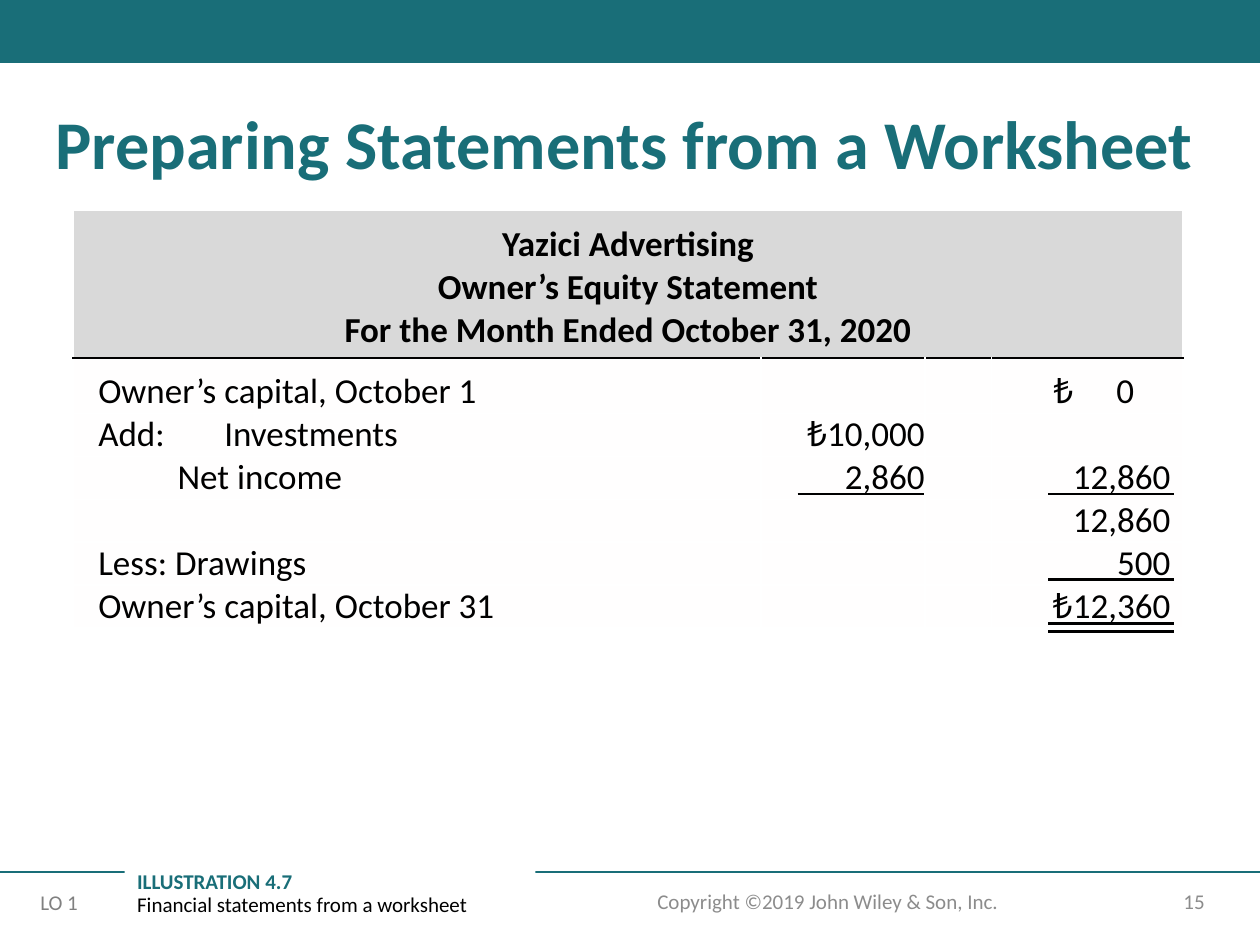
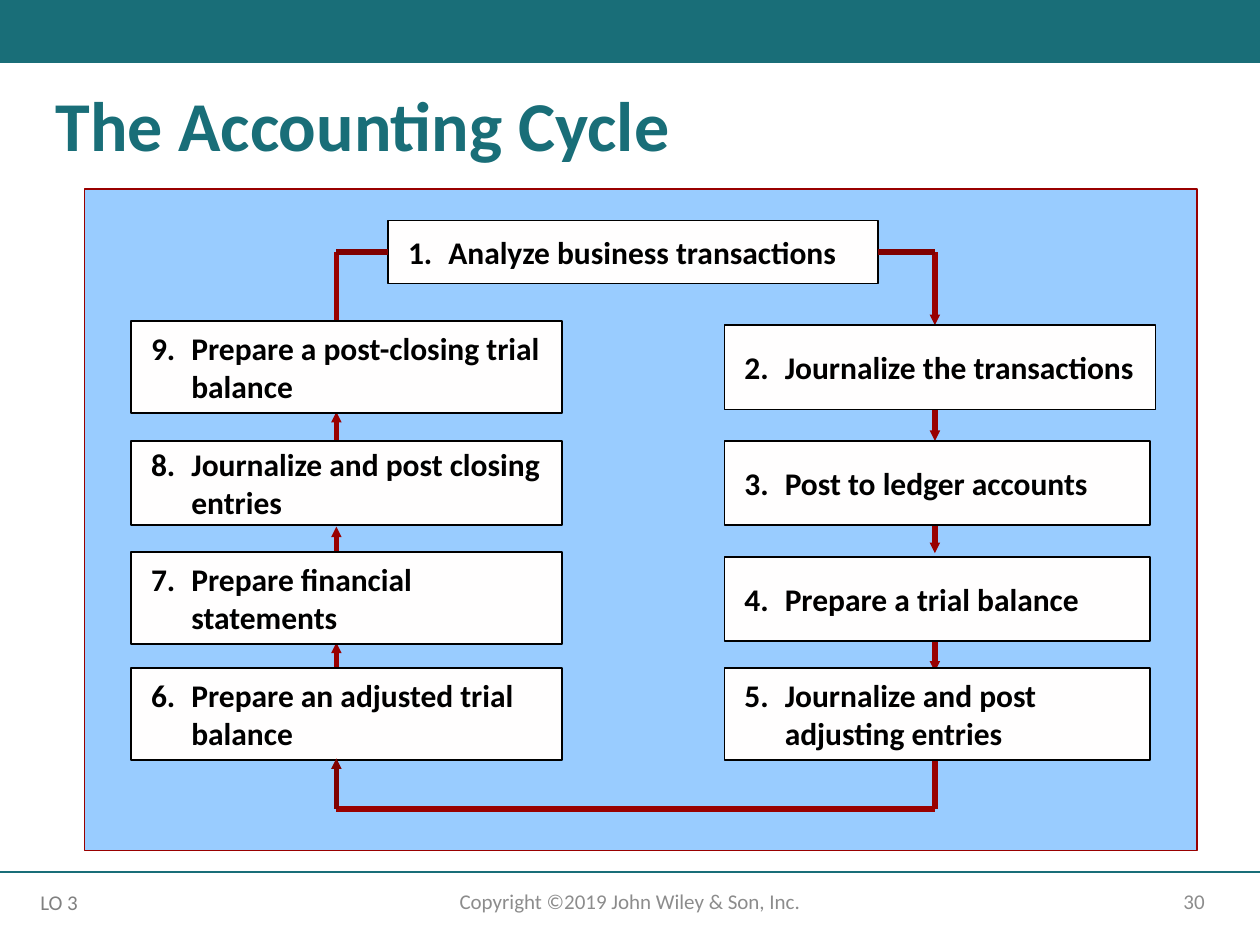
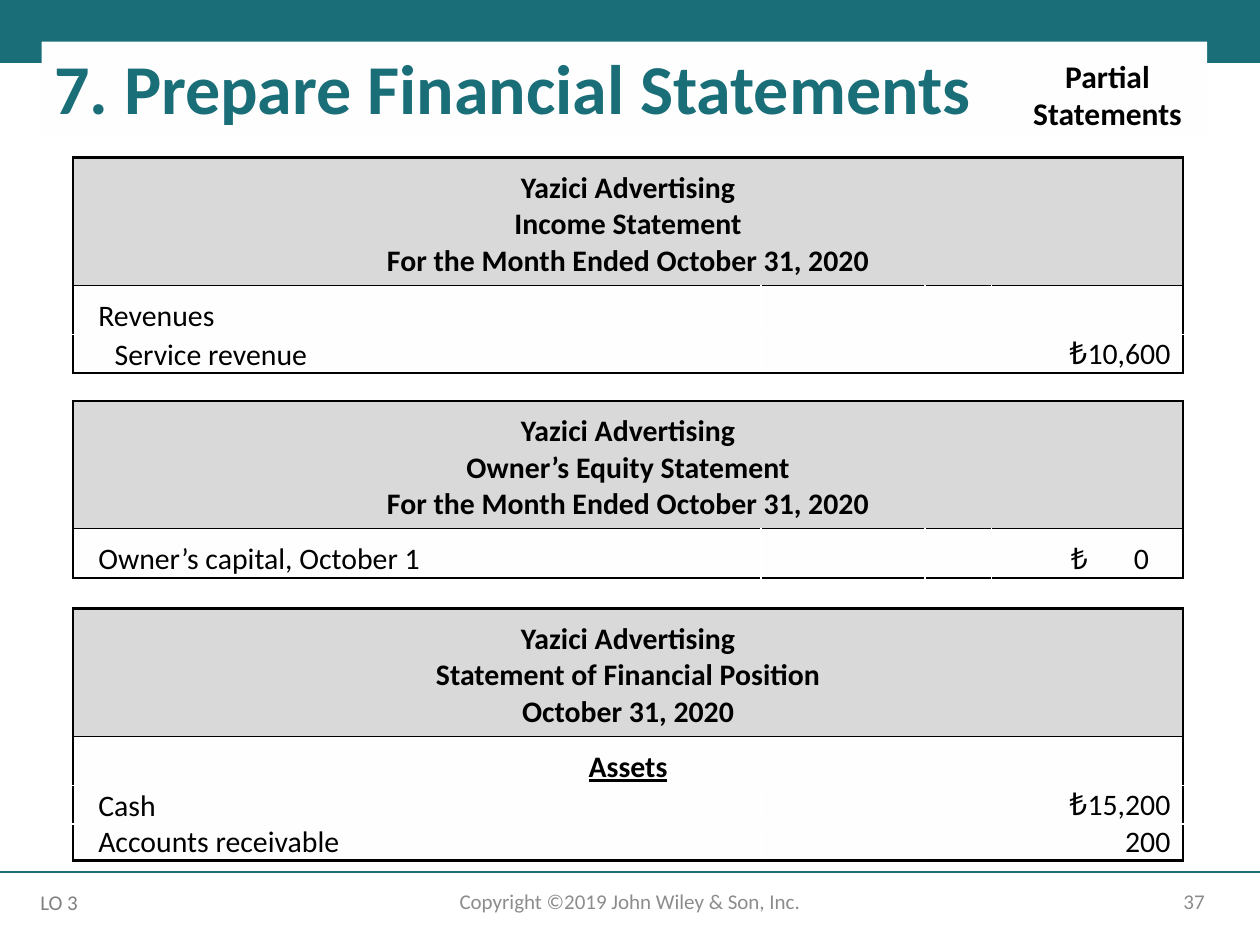
import pptx
import pptx.dml.color
import pptx.enum.shapes
import pptx.enum.text
import pptx.oxml.ns
import pptx.table
import pptx.util
from lxml import etree

Inches, Pt = pptx.util.Inches, pptx.util.Pt
ALIGN = pptx.enum.text.PP_ALIGN
ANCHOR = pptx.enum.text.MSO_ANCHOR
RECTANGLE = pptx.enum.shapes.MSO_SHAPE.RECTANGLE
STRAIGHT = pptx.enum.shapes.MSO_CONNECTOR.STRAIGHT

FONT = "Calibri"
TEAL, BLACK, WHITE, PAPER = "196E78", "000000", "FFFFFF", "FFFEFE"
HEADING_GREY, FOOTER_GREY, OBJECTIVE_GREY = "D9D9D9", "8C8C8C", "808080"
SKY, RED, MAROON = "99CCFF", "990000", "800000"

COPYRIGHT = "Copyright ©2019 John Wiley & Son, Inc."
COMPANY = "Yazici Advertising"
MONTH = "For the Month Ended October 31, 2020"

# Each row: label, inner amount, outer amount, label indent
EQUITY = dict(
    top=1.67, size=20, lira_size=20, zero_left=0.49, frame=(WHITE, 1),
    heading=[COMPANY, "Owner’s Equity Statement", MONTH],
    rows=[("Owner’s capital, October 1", "", "₺\t0", 0),
          ("Add:\tInvestments", "₺10,000", "", 0),
          ("Net income", "2,860", "12,860", 0.63),
          ("", "", "12,860", 0),
          ("Less: Drawings", "", "500", 0),
          ("Owner’s capital, October 31", "", "₺12,360", 0)])
PARTIAL = dict(size=17, lira_size=18, zero_left=0.63, frame=(BLACK, 1.5))
PARTIAL_STATEMENTS = [
    dict(PARTIAL, top=1.25, heading=[COMPANY, "Income Statement", MONTH],
         rows=[("Revenues", "", "", 0),
               ("Service revenue", "", "₺10,600", 0.13)]),
    dict(PARTIAL, top=3.18, heading=[COMPANY, "Owner’s Equity Statement", MONTH],
         rows=[("Owner’s capital, October 1", "", "₺\t0", 0)]),
    dict(PARTIAL, top=4.83,
         heading=[COMPANY, "Statement of Financial Position", "October 31, 2020"],
         section="Assets",
         rows=[("Cash", "", "₺15,200", 0),
               ("Accounts receivable", "", "200", 0)]),
]
STATEMENT_LEFT = 0.58
COLUMNS = [5.46, 1.3, 0.53, 1.52]
LABEL_INSET, AMOUNT_INSET = 0.2, 0.1

SUM_RULES = [(6.33, 3.92), (8.32, 3.92), (8.32, 4.6), (8.32, 4.95), (8.32, 5.01)]

# Each step: text, left, top, width, height
STEPS = [
    ("Analyze business transactions", 3.08, 1.75, 3.89, 0.5),
    ("Journalize the transactions", 5.75, 2.58, 3.42, 0.67),
    ("Post to ledger accounts", 5.75, 3.5, 3.38, 0.67),
    ("Prepare a trial balance", 5.75, 4.42, 3.38, 0.67),
    ("Journalize and post adjusting entries", 5.75, 5.3, 3.38, 0.73),
    ("Prepare an adjusted trial balance", 1.04, 5.3, 3.42, 0.73),
    ("Prepare financial statements", 1.04, 4.38, 3.42, 0.73),
    ("Journalize and post closing entries", 1.04, 3.5, 3.42, 0.67),
    ("Prepare a post-closing trial balance", 1.04, 2.55, 3.42, 0.73),
]
UP_X, DOWN_X, TURN_TOP, TURN_BOTTOM = 2.67, 7.42, 2, 6.42
DOWN_ARROWS = [(TURN_TOP, 2.58), (3.08, 3.5), (4.02, 4.39), (4.93, 5.33)]
UP_ARROWS = [5.5, 4.58, 3.67]
UP_LENGTH = 0.4


def rgb(color):
    return pptx.dml.color.RGBColor.from_string(color)


def add_xml(parent, tag, **attributes):
    return etree.SubElement(parent, pptx.oxml.ns.qn(tag), **attributes)


def write(holder, paragraphs, size=12, color=BLACK, bold=False, underline=False,
          align=ALIGN.LEFT, anchor=ANCHOR.TOP, insets=(0.1, 0.05, 0.1, 0.05),
          line_spacing=None, indent=0, hanging=0, tab=None):
    """Fill a shape or cell; a paragraph is a string or a list of
    (text, format changes) runs."""
    frame = holder.text_frame
    bounds = holder
    if not isinstance(holder, pptx.table._Cell):
        bounds = frame
        frame.word_wrap = True
        frame.auto_size = pptx.enum.text.MSO_AUTO_SIZE.NONE
    bounds.vertical_anchor = anchor
    (bounds.margin_left, bounds.margin_top,
     bounds.margin_right, bounds.margin_bottom) = map(Inches, insets)
    if isinstance(paragraphs, str):
        paragraphs = [paragraphs]
    for number, content in enumerate(paragraphs):
        paragraph = frame.add_paragraph() if number else frame.paragraphs[0]
        paragraph.alignment = align
        if line_spacing:
            paragraph.line_spacing = line_spacing
        properties = paragraph._p.get_or_add_pPr()
        properties.set("marL", str(Inches(indent)))
        properties.set("indent", str(Inches(-hanging)))
        if tab:
            stops = add_xml(properties, "a:tabLst")
            add_xml(stops, "a:tab", pos=str(Inches(tab)),
                    algn="r" if "₺" in paragraphs[0] else "l")
        if not content:
            paragraph._p.get_or_add_endParaRPr().set("sz", str(size * 100))
            continue
        for text, changes in [(content, {})] if isinstance(content, str) else content:
            run = paragraph.add_run()
            run.text = text
            run.font.name = FONT
            run.font.size = Pt(changes.get("size", size))
            run.font.bold = changes.get("bold", bold)
            run.font.underline = underline
            run.font.color.rgb = rgb(changes.get("color", color))


def add_text(slide, place, text, **style):
    write(slide.shapes.add_textbox(*map(Inches, place)), text, **style)


def add_box(slide, place, fill, line=None):
    box = slide.shapes.add_shape(RECTANGLE, *map(Inches, place))
    box.shadow.inherit = False
    box.fill.solid()
    box.fill.fore_color.rgb = rgb(fill)
    if line:
        box.line.color.rgb = rgb(line)
        box.line.width = Pt(1)
    else:
        box.line.fill.background()
    return box


def add_line(slide, start, end, color, width, arrow=False):
    line = slide.shapes.add_connector(STRAIGHT, *map(Inches, (*start, *end)))
    line.line.color.rgb = rgb(color)
    line.line.width = Pt(width)
    if arrow:
        add_xml(line.line._get_or_add_ln(), "a:tailEnd", type="triangle", w="sm", len="sm")
    add_xml(line._element.spPr, "a:effectLst")
    return line


def share_band_and_rule(slide):
    """Move the top band and the footer rule to the slide's layout."""
    band = add_box(slide, (0, 0, 10, 0.5), TEAL)
    rule = add_line(slide, (0, 6.92), (10, 6.92), TEAL, 1)
    for part in (rule, band):
        slide.slide_layout.shapes._spTree.insert(2, part._element)


def add_slide(deck, title, place, number, objective, size=40, top_inset=0.05,
              copyright_left=3.31):
    slide = deck.slides.add_slide(deck.slide_layouts[5])
    heading = slide.shapes.title
    heading.left, heading.top, heading.width, heading.height = map(Inches, place)
    write(heading, title, size=size, color=TEAL, bold=True, line_spacing=0.9,
          insets=(0.1, top_inset, 0.1, 0.05))
    footer = dict(color=FOOTER_GREY, anchor=ANCHOR.MIDDLE)
    add_text(slide, (7.06, 6.95, 2.6, 0.4), number, align=ALIGN.RIGHT, **footer)
    add_text(slide, (copyright_left, 6.95, 3.38, 0.4), COPYRIGHT,
             align=ALIGN.CENTER, **footer)
    add_text(slide, (0.25, 7.01, 0.53, 0.3), objective, color=OBJECTIVE_GREY,
             insets=(0, 0.05, 0, 0.05), indent=0.07)
    return slide


def set_borders(cell, **edges):
    """Each edge is (colour, points), or None for no line."""
    properties = cell._tc.get_or_add_tcPr()
    lines = []
    for side in "LRTB":
        color, points = edges[side] or (None, 0)
        line = etree.Element(pptx.oxml.ns.qn("a:ln" + side), w=str(Pt(points)))
        if color:
            add_xml(add_xml(line, "a:solidFill"), "a:srgbClr", val=color)
        else:
            add_xml(line, "a:noFill")
        lines.append(line)
    for position, line in enumerate(lines):
        properties.insert(position, line)


def write_amount(cell, amount, statement, top):
    size = statement["size"]
    style = dict(size=size, anchor=ANCHOR.BOTTOM)
    if "\t" in amount:
        left = statement["zero_left"]
        write(cell, amount, insets=(left, top, AMOUNT_INSET, 0),
              tab=COLUMNS[-1] - left - AMOUNT_INSET - 0.01, **style)
        return
    if amount.startswith("₺"):
        amount = [("₺", dict(size=statement["lira_size"])), (amount[1:], {})]
    write(cell, [amount], align=ALIGN.RIGHT, insets=(0, 0, AMOUNT_INSET, 0), **style)


def add_statement(slide, statement):
    size, frame = statement["size"], statement["frame"]
    section = statement.get("section")
    merged = [statement["heading"]] + ([[section]] if section else [])
    line_height = size * 1.2 / 72
    count = len(merged) + len(statement["rows"])
    heights = [line_height * 3 + 0.15, line_height + 0.1] + [line_height] * (count - 2)
    table = slide.shapes.add_table(
        count, len(COLUMNS), *map(Inches, (STATEMENT_LEFT, statement["top"],
                                           sum(COLUMNS), sum(heights)))).table
    table.first_row = table.horz_banding = False
    for column, width in zip(table.columns, COLUMNS):
        column.width = Inches(width)
    for row, height in zip(table.rows, heights):
        row.height = Inches(height)

    for index, lines in enumerate(merged):
        table.cell(index, 0).merge(table.cell(index, len(COLUMNS) - 1))
        write(table.cell(index, 0), lines, size=size, bold=True, underline=index > 0,
              align=ALIGN.CENTER, anchor=ANCHOR.BOTTOM,
              insets=(0, 0.1, 0, 0) if index else (0, 0.1, 0, 0.05))
    for index, (label, inner, outer, indent) in enumerate(statement["rows"], len(merged)):
        top = 0.1 if index == 1 else 0
        style = dict(size=size, anchor=ANCHOR.BOTTOM)
        write(table.cell(index, 0), label, insets=(LABEL_INSET, top, 0, 0),
              indent=indent, tab=0.65 if "\t" in label else None, **style)
        write(table.cell(index, 1), inner, align=ALIGN.RIGHT, insets=(0, 0, 0, 0), **style)
        write(table.cell(index, 2), "", insets=(0, 0, 0, 0), **style)
        write_amount(table.cell(index, 3), outer, statement, top)

    inside, under_heading, last = (WHITE, 1), (BLACK, 1), len(COLUMNS) - 1
    for r in range(count):
        between = None if r < len(merged) else inside
        for c in range(len(COLUMNS)):
            cell = table.cell(r, c)
            cell.fill.solid()
            cell.fill.fore_color.rgb = rgb(PAPER if r else HEADING_GREY)
            set_borders(
                cell,
                L=frame if c == 0 else between,
                R=frame if c == last or cell.is_merge_origin else between,
                T={0: frame, 1: under_heading}.get(r, inside),
                B=under_heading if r == 0 else frame if r == count - 1 else inside)


def build_equity_statement(deck):
    slide = add_slide(deck, "Preparing Statements from a Worksheet",
                      (0.34, 0.83, 9.58, 0.71), "15", "LO 1", size=39,
                      copyright_left=4.88)
    share_band_and_rule(slide)
    add_statement(slide, EQUITY)
    for left, y in SUM_RULES:
        add_line(slide, (left, y), (left + 1, y), BLACK, 1.5)
    caption = add_box(slide, (0.99, 6.87, 3.26, 0.46), WHITE)
    write(caption, [[("ILLUSTRATION 4.7", dict(color=TEAL, bold=True))],
                    "Financial statements from a worksheet"], line_spacing=0.9)


def build_accounting_cycle(deck):
    slide = add_slide(deck, "The Accounting Cycle", (0.34, 0.67, 9.49, 0.71), "30", "LO 3")
    add_box(slide, (0.67, 1.5, 8.83, 5.25), SKY, RED)
    for start, end in DOWN_ARROWS:
        add_line(slide, (DOWN_X, start), (DOWN_X, end), RED, 3, arrow=True)
    for start in UP_ARROWS:
        add_line(slide, (UP_X, start), (UP_X, start - UP_LENGTH), RED, 3, arrow=True)
    add_line(slide, (UP_X, 2.58), (UP_X, TURN_TOP), RED, 3)
    add_line(slide, (DOWN_X, 5.83), (DOWN_X, TURN_BOTTOM), RED, 3)
    add_line(slide, (DOWN_X, TURN_BOTTOM), (UP_X, TURN_BOTTOM), RED, 3)

    steps = []
    for number, (text, *place) in enumerate(STEPS, 1):
        step = add_box(slide, place, PAPER, BLACK)
        write(step, f"{number}.\t{text}", size=18, bold=True, anchor=ANCHOR.MIDDLE,
              indent=0.38, hanging=0.32)
        steps.append(step)

    add_line(slide, (UP_X, TURN_BOTTOM), (UP_X, TURN_BOTTOM - UP_LENGTH), MAROON, 3,
             arrow=True)
    _, left, _, width, _ = STEPS[0]
    into_first = add_line(slide, (UP_X, TURN_TOP), (left, TURN_TOP), MAROON, 3)
    into_first.end_connect(steps[0], 1)
    from_first = add_line(slide, (left + width, TURN_TOP), (DOWN_X, TURN_TOP), MAROON, 3)
    from_first.begin_connect(steps[0], 3)


def build_partial_statements(deck):
    slide = add_slide(deck, "7. Prepare Financial Statements", (0.33, 0.33, 9.25, 0.76),
                      "37", "LO 3", top_inset=0.1)
    slide.shapes.title.fill.solid()
    slide.shapes.title.fill.fore_color.rgb = rgb(PAPER)
    for statement in PARTIAL_STATEMENTS:
        add_statement(slide, statement)
    add_text(slide, (8.08, 0.4, 1.42, 0.71), "Partial Statements", size=18, bold=True,
             align=ALIGN.CENTER)


def main():
    deck = pptx.Presentation()
    deck.slide_width, deck.slide_height = Inches(10), Inches(7.5)
    build_equity_statement(deck)
    build_accounting_cycle(deck)
    build_partial_statements(deck)
    deck.save("out.pptx")


if __name__ == "__main__":
    main()
